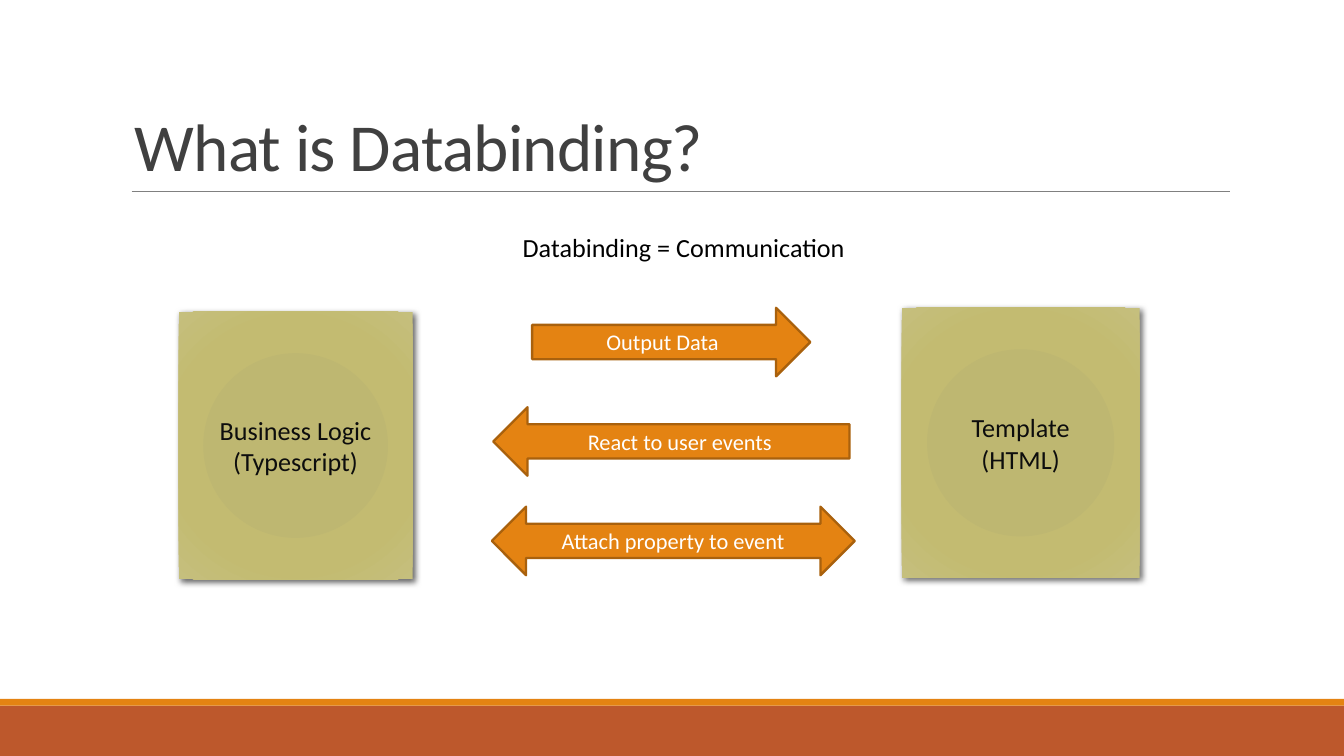
from lxml import etree
from pptx import Presentation
from pptx import util as u
from pptx.dml.color import RGBColor
from pptx.enum import shapes, text
from pptx.oxml import parse_xml
from pptx.oxml.ns import nsdecls, qn

COLS, ROWS = 100, 56.25  # square grid cells
CELL = 0.1  # inches
SHAPE = shapes.MSO_SHAPE


def rgb(value):
    return RGBColor.from_string(value)


def grid(*cells):
    return [u.Inches(n * CELL) for n in cells]


class Deck:
    font = "Calibri"
    orange, rust, brown = "E48312", "BD582C", "A9610D"
    heading, ink, black, white, gray = "404040", "0D0D0D", "000000", "FFFFFF", "808080"
    olive = [(0, "BEB76E"), (34, "BEB771"), (70, "C3BB71"), (100, "C5BF7D")]

    def __init__(self):
        self.prs = Presentation()
        self.prs.slide_width, self.prs.slide_height = grid(COLS, ROWS)
        self.s = self.prs.slides.add_slide(self.prs.slide_layouts[5])

    def set_text(self, sp, lines, size, color, align=text.PP_ALIGN.CENTER,
                 anchor=text.MSO_ANCHOR.MIDDLE):
        tf = sp.text_frame
        tf.text = "\n".join(lines)
        tf.vertical_anchor = anchor
        for p in tf.paragraphs:
            p.alignment = align
            p.font.name, p.font.size = self.font, u.Pt(size)
            p.font.color.rgb = rgb(color)
        return tf

    def title(self, words, *box):
        sp = self.s.shapes.title
        sp.left, sp.top, sp.width, sp.height = grid(*box)
        tf = self.set_text(sp, [words], 36, self.heading, text.PP_ALIGN.LEFT,
                           text.MSO_ANCHOR.BOTTOM)
        tf.auto_size = text.MSO_AUTO_SIZE.NONE
        p = tf.paragraphs[0]
        p.line_spacing = 0.85
        p.runs[0].font._element.set("spc", "-40")

    def label(self, words, *box):
        sp = self.s.shapes.add_textbox(*grid(*box))
        tf = self.set_text(sp, [words], 14, self.black, text.PP_ALIGN.LEFT,
                           text.MSO_ANCHOR.TOP)
        tf.word_wrap = False
        tf.auto_size = text.MSO_AUTO_SIZE.SHAPE_TO_FIT_TEXT

    def rule(self, x1, x2, y):
        line = self.s.shapes.add_connector(
            shapes.MSO_CONNECTOR.STRAIGHT, *grid(x1, y, x2, y))
        line.line.color.rgb, line.line.width = rgb(self.gray), u.Pt(0.5)
        etree.SubElement(line._element.spPr, qn("a:effectLst"))

    def shape(self, kind, fill, *box):
        sp = self.s.shapes.add_shape(kind, *grid(*box))
        sp.shadow.inherit = False
        sp.fill.solid()
        sp.fill.fore_color.rgb = rgb(fill)
        sp.line.fill.background()
        return sp

    def arrow(self, kind, words, *box):
        sp = self.shape(kind, self.orange, *box)
        sp.line.color.rgb, sp.line.width = rgb(self.brown), u.Pt(1.25)
        self.set_text(sp, [words], 12, self.white)

    def card(self, lines, *box):
        sp = self.shape(SHAPE.RECTANGLE, self.olive[0][1], *box)
        self.set_text(sp, lines, 14, self.ink)
        # Radial gradient and soft shadow
        stops = "".join(f'<a:gs pos="{pos * 1000}"><a:srgbClr val="{color}"/></a:gs>'
                        for pos, color in self.olive)
        pr = sp._element.spPr
        pr.replace(pr.find(qn("a:solidFill")), parse_xml(
            f'<a:gradFill {nsdecls("a")} rotWithShape="1"><a:gsLst>{stops}</a:gsLst>'
            '<a:path path="circle"><a:fillToRect l="100000" t="100000" '
            'r="100000" b="100000"/></a:path></a:gradFill>'))
        pr.find(qn("a:effectLst")).append(parse_xml(
            f'<a:outerShdw {nsdecls("a")} blurRad="{u.Pt(3.5)}" dist="{u.Pt(2)}" '
            'dir="2700000" algn="tl" rotWithShape="0"><a:srgbClr val="000000">'
            '<a:alpha val="60000"/></a:srgbClr></a:outerShdw>'))


def main():
    deck = Deck()

    # Footer bands, title and its rule
    deck.shape(SHAPE.RECTANGLE, deck.rust, 0, 52.5, COLS, ROWS - 52.5)
    deck.shape(SHAPE.RECTANGLE, deck.orange, 0, 52, COLS, 0.5)
    deck.rule(9.8, 91.5, 14.25)
    deck.title("What is Databinding?", 9, 2.4, 82.5, 11.9)

    # The two sides that communicate
    deck.card(["Business Logic", "(Typescript)"], 13.3, 23.2, 17.4, 19.9)
    deck.card(["Template", "(HTML)"], 67.1, 22.9, 17.7, 20.1)

    # Kinds of binding between them
    deck.label("Databinding = Communication", 37.9, 16.7, 26.2, 3.4)
    arrows = [(SHAPE.RIGHT_ARROW, "Output Data", 39.6, 20.7),
              (SHAPE.LEFT_ARROW, "React to user events", 36.7, 26.5),
              (SHAPE.LEFT_RIGHT_ARROW, "Attach property to event", 36.6, 27)]
    for row, (kind, words, left, width) in enumerate(arrows):
        deck.arrow(kind, words, left, 22.9 + 7.4 * row, width, 5.1)

    deck.prs.save("out.pptx")


if __name__ == "__main__":
    main()
